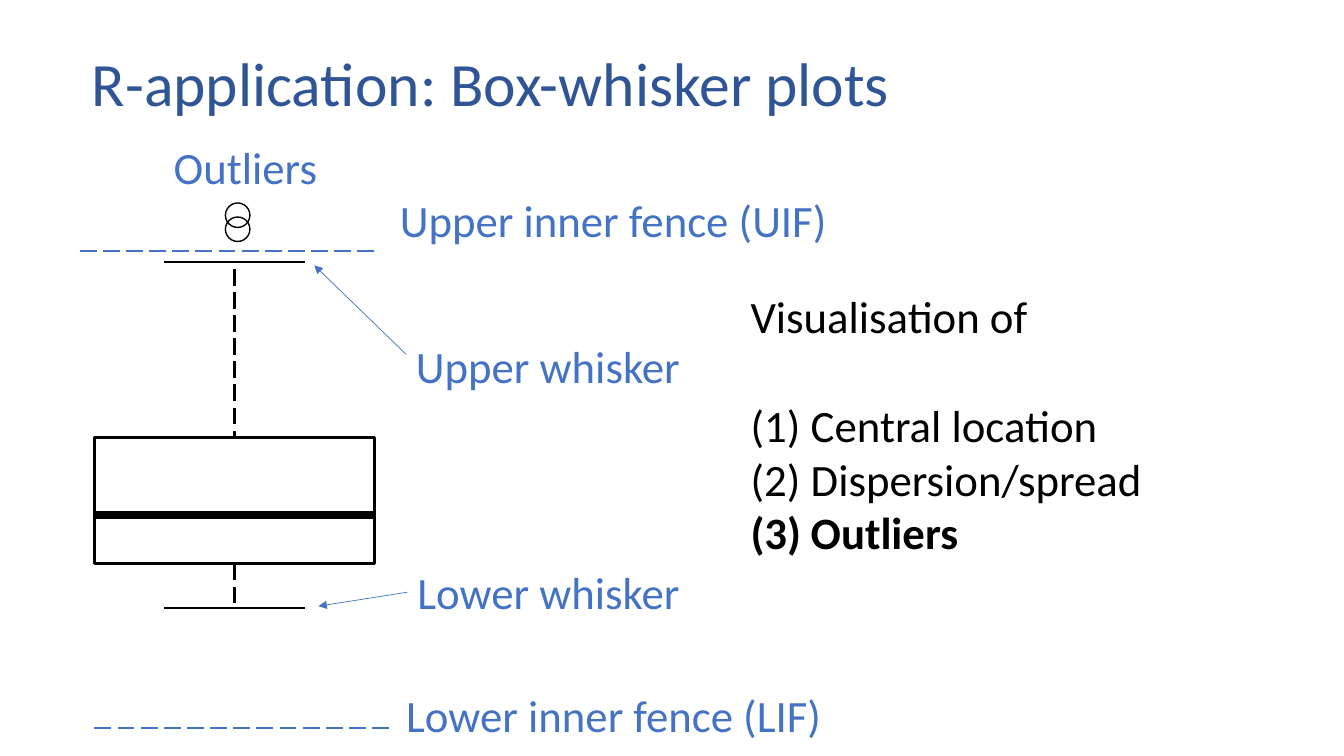
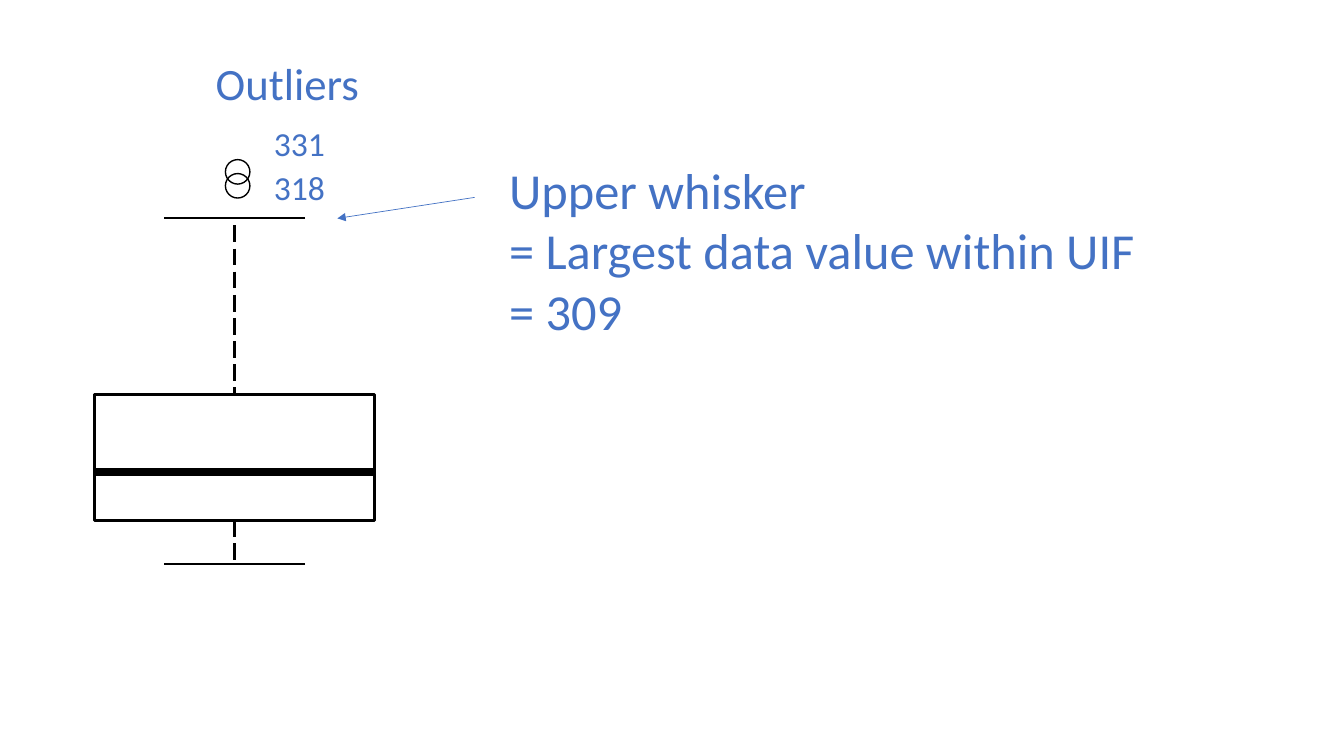
from lxml.etree import SubElement as Sub
from pptx import Presentation
from pptx.dml.color import RGBColor
from pptx.enum.dml import MSO_LINE as Dash
from pptx.enum.shapes import MSO_CONNECTOR as Link, MSO_SHAPE as Kind
from pptx.enum.text import MSO_ANCHOR as Anchor
from pptx.oxml.ns import qn
from pptx.util import Pt

BLACK = RGBColor(0x00, 0x00, 0x00)
BLUE = RGBColor(0x44, 0x72, 0xC4)
NAVY = RGBColor(0x2F, 0x55, 0x97)
FONT = "Calibri"


def write(page, text, left, top, wide, high=46, size=32, color=BLUE,
          anchor=Anchor.TOP, spacing=None):
    box = page.shapes.add_textbox(Pt(left), Pt(top), Pt(wide), Pt(high))
    frame = box.text_frame
    frame.word_wrap = True
    frame.vertical_anchor = anchor
    frame.text = text
    for para in frame.paragraphs:
        para.line_spacing = spacing
        for run in para.runs:
            run.font.name = FONT
            run.font.size = Pt(size)
            run.font.color.rgb = color
    return box


def rule(page, x1, y1, x2, y2, width=1.5, color=BLACK, dash=False, arrow=False):
    link = page.shapes.add_connector(Link.STRAIGHT, Pt(x1), Pt(y1), Pt(x2), Pt(y2))
    link.line.width = Pt(width)
    link.line.color.rgb = color
    if dash:
        link.line.dash_style = Dash.LONG_DASH
    if arrow:
        Sub(link.line._get_or_add_ln(), qn("a:tailEnd"), type="triangle")
    Sub(link._element.spPr, qn("a:effectLst"))
    return link


deck = Presentation()
deck.slide_width, deck.slide_height = Pt(960), Pt(540)
blank = deck.slide_layouts[6]
parts = deck.slides.add_slide(blank)
values = deck.slides.add_slide(blank)

# Box plot on both slides, placed by the top of its box
LEFT, WIDE, HIGH = 67.5, 200, 90
MID = LEFT + WIDE / 2
for page, top in ((parts, 312.5), (values, 281.5)):
    box = page.shapes.add_shape(Kind.RECTANGLE, Pt(LEFT), Pt(top), Pt(WIDE), Pt(HIGH))
    rings = [page.shapes.add_shape(Kind.OVAL, Pt(161), Pt(top - rise), Pt(17.5), Pt(17.5))
             for rise in (157.5, 167.5)]
    for shape, width in ((box, 2.25), (rings[0], 1), (rings[1], 1)):
        shape.shadow.inherit = False
        shape.fill.background()
        shape.line.color.rgb = BLACK
        shape.line.width = Pt(width)
    rule(page, LEFT, top + 55.5, LEFT + WIDE, top + 55.5, width=6)
    rule(page, MID, top + HIGH, MID, top + 121.5, dash=True).begin_connect(box, 2)
    rule(page, MID, top - 120.5, MID, top, dash=True).end_connect(box, 0)
    for cap in (top - 125.5, top + 121.5):
        rule(page, 218, cap, 117, cap)

# Slide 1: title and numbered aims
write(parts, "R-application: Box-whisker plots", 58.5, 9.5, 828, 104.5,
      size=44, color=NAVY, anchor=Anchor.MIDDLE, spacing=0.9)
aims = write(parts, "Visualisation of\nCentral location\nDispersion/spread\nOutliers",
             529, 203, 314, 201, color=BLACK).text_frame.paragraphs
aims[0].space_after = Pt(39)
for aim in aims[1:]:
    props = aim._p.get_or_add_pPr()
    props.set("marL", str(Pt(43)))
    props.set("indent", str(-Pt(43)))
    Sub(props, qn("a:buFont"), typeface="+mj-lt")
    Sub(props, qn("a:buAutoNum"), type="arabicParenBoth")
aims[3].runs[0].font.bold = True

# Slide 1: fences, labels and arrows
for x, y in ((67.5, 520), (57, 179.5)):
    rule(parts, x, y, x + 213.5, y, color=BLUE, dash=True)
write(parts, "Lower inner fence (LIF)", 283, 488, 325)
write(parts, "Upper inner fence (UIF)", 278.5, 134, 330)
write(parts, "Outliers", 117, 96.5, 137.5)
write(parts, "Upper whisker", 290, 238.5, 210)
lower = write(parts, "Lower whisker", 291, 400, 210)
rule(parts, 290, 253, 224.5, 189.5, width=0.5, color=BLUE, arrow=True)
rule(parts, 291, 423, 227.5, 433, width=0.5, color=BLUE,
     arrow=True).begin_connect(lower, 1)

# Slide 2: labels and arrow
write(values, "Upper whisker\n= Largest data value within UIF\n= 309",
      356.5, 110, 475, 138, size=36)
for value, top in (("331", 84), ("318", 116)):
    write(values, value, 188.5, top, 52.5, 36, size=24)
write(values, "Outliers", 147, 36, 247)
rule(values, 339, 141, 241, 156, width=0.5, color=BLUE, arrow=True)

deck.save("out.pptx")
